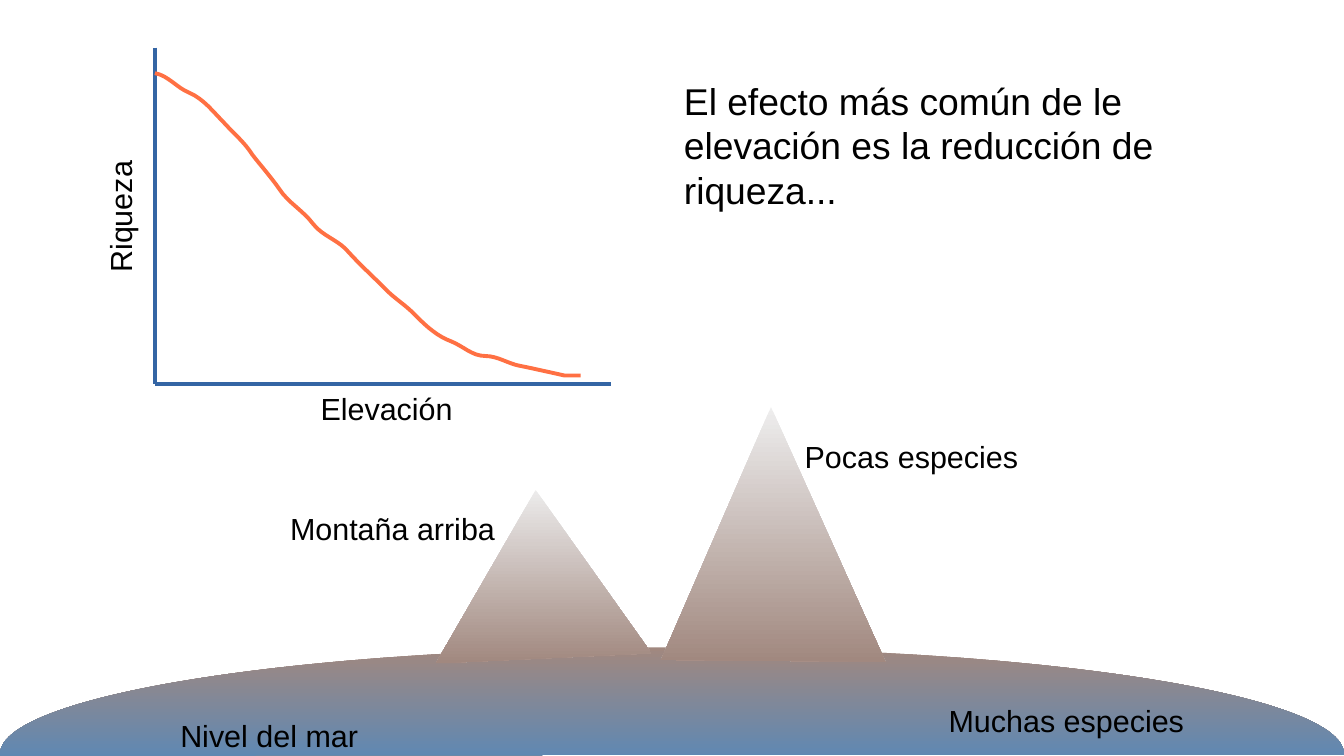
from collections import namedtuple
from dataclasses import dataclass

from pptx import Presentation
from pptx import util as u
from pptx.dml.color import RGBColor
from pptx.enum import shapes
from pptx.oxml import ns
from lxml import etree

Box = namedtuple("Box", "left top width height")


@dataclass(frozen=True)
class Theme:
    """Colours, font and type sizes."""
    ink: str = "000000"
    axis: str = "3465A4"
    curve: str = "FF7043"
    snow: str = "EEEEEE"
    earth: str = "A1887F"
    sea: str = "1E88E5"
    font: str = "Arial"
    label: float = 18
    statement: float = 22
    line: float = 2.3


THEME = Theme()
RICHNESS_START = (0, 2.55)
RICHNESS_CURVES = [
    ((0.11, 2.53), (0.18, 2.43), (0.28, 2.39)),
    ((0.4, 2.34), (0.48, 2.23), (0.57, 2.14)),
    ((0.65, 2.05), (0.73, 1.99), (0.8, 1.88)),
    ((0.87, 1.79), (0.95, 1.7), (1.02, 1.6)),
    ((1.09, 1.49), (1.22, 1.42), (1.3, 1.31)),
    ((1.38, 1.21), (1.51, 1.18), (1.59, 1.08)),
    ((1.68, 0.98), (1.78, 0.89), (1.87, 0.8)),
    ((1.96, 0.7), (2.06, 0.65), (2.15, 0.55)),
    ((2.23, 0.47), (2.32, 0.39), (2.43, 0.35)),
    ((2.53, 0.31), (2.6, 0.23), (2.71, 0.23)),
    ((2.81, 0.23), (2.89, 0.17), (2.99, 0.15)),
    ((3.09, 0.13), (3.18, 0.11), (3.27, 0.09)),
]
RICHNESS_TAIL = [(3.36, 0.07), (3.49, 0.07)]


def place(box):
    """Turn a box in inches into lengths."""
    return [u.Inches(value) for value in box]


def add_text(page, box, words, size=THEME.label, rotation=0):
    """Add one line or paragraph of text."""
    frame = page.shapes.add_textbox(*place(box))
    frame.rotation = rotation
    frame.text_frame.word_wrap = True
    span = frame.text_frame.paragraphs[0].add_run()
    span.text = words
    span.font.name = THEME.font
    span.font.size = u.Pt(size)
    span.font.color.rgb = RGBColor.from_string(THEME.ink)


def style_line(line, color):
    """Give a line its colour and width."""
    line.color.rgb = RGBColor.from_string(color)
    line.width = u.Pt(THEME.line)


def add_axis(page, start, end):
    """Draw a straight axis between two points."""
    axis = page.shapes.add_connector(
        shapes.MSO_CONNECTOR.STRAIGHT, *place(start + end))
    style_line(axis.line, THEME.axis)
    etree.SubElement(axis._element.spPr, ns.qn("a:effectLst"))


def add_land(page, kind, box, colors, adjustments, rotation=0):
    """Add a landform shaded from top to bottom."""
    land = page.shapes.add_shape(kind, *place(box))
    land.shadow.inherit = False
    land.rotation = rotation
    for index, value in enumerate(adjustments):
        land.adjustments[index] = value
    land.line.fill.background()
    land.fill.gradient()
    land.fill.gradient_angle = 270
    land._element.spPr.find(ns.qn("a:gradFill")).set("rotWithShape", "0")
    for stop, color in zip(land.fill.gradient_stops, colors):
        stop.color.rgb = RGBColor.from_string(color)


def richness_points(steps=8):
    """Sample the falling richness curve."""
    points = [RICHNESS_START]
    for first, second, end in RICHNESS_CURVES:
        start = points[-1]
        for step in range(1, steps + 1):
            t = step / steps
            points.append(tuple(
                a * (1 - t) ** 3 + 3 * b * t * (1 - t) ** 2
                + 3 * c * t ** 2 * (1 - t) + d * t ** 3
                for a, b, c, d in zip(start, first, second, end)))
    return points + RICHNESS_TAIL


def add_richness_graph(page, box):
    """Draw richness against elevation."""
    bottom = box.top + box.height
    origin = (box.left, bottom)
    add_axis(page, (box.left, box.top), origin)
    add_axis(page, origin, (box.left + box.width, bottom))
    start, *rest = [place((box.left + x, bottom - y))
                    for x, y in richness_points()]
    builder = page.shapes.build_freeform(*start)
    builder.add_line_segments(rest, close=False)
    curve = builder.convert_to_shape()
    curve.shadow.inherit = False
    curve.fill.background()
    style_line(curve.line, THEME.curve)
    add_text(page, Box(box.left + 1.26, bottom, 2.17, 0.38), "Elevación")
    add_text(page, Box(box.left - 0.95, box.top + 1.1, 1.31, 0.38),
             "Riqueza", rotation=270)


def add_landscape(page, box):
    """Draw two mountains on an island with their labels."""
    def inside(left, top, width, height):
        return Box(box.left + left, box.top + top, width, height)

    kinds = shapes.MSO_SHAPE
    mountain = (THEME.snow, THEME.earth)
    add_land(page, kinds.CHORD, inside(0, 1.97, box.width, 1.75),
             (THEME.earth, THEME.sea), (107.93, 0.01))
    add_land(page, kinds.ISOSCELES_TRIANGLE, inside(3.54, 0.68, 1.77, 1.38),
             mountain, (0.5,), 357.3)
    add_land(page, kinds.ISOSCELES_TRIANGLE, inside(5.43, 0, 1.84, 2.08),
             mountain, (0.48,), 0.5)
    for words, left, top, width in (
            ("Nivel del mar", 1.38, 2.49, 2.76),
            ("Montaña arriba", 2.28, 0.79, 2.76),
            ("Muchas especies", 7.68, 2.37, 2.17),
            ("Pocas especies", 6.5, 0.2, 2.17)):
        add_text(page, inside(left, top, width, 0.38), words)


def main():
    """Build and save the deck."""
    deck = Presentation()
    deck.slide_width, deck.slide_height = place((11.02, 6.2))
    page = deck.slides.add_slide(deck.slide_layouts[6])
    add_landscape(page, Box(0, 3.34, 11.02, 2.86))
    add_richness_graph(page, Box(1.27, 0.39, 3.74, 2.76))
    add_text(page, Box(5.51, 0.59, 4.72, 1.12),
             "El efecto más común de le elevación es la reducción de riqueza...",
             THEME.statement)
    deck.save("out.pptx")


if __name__ == "__main__":
    main()
